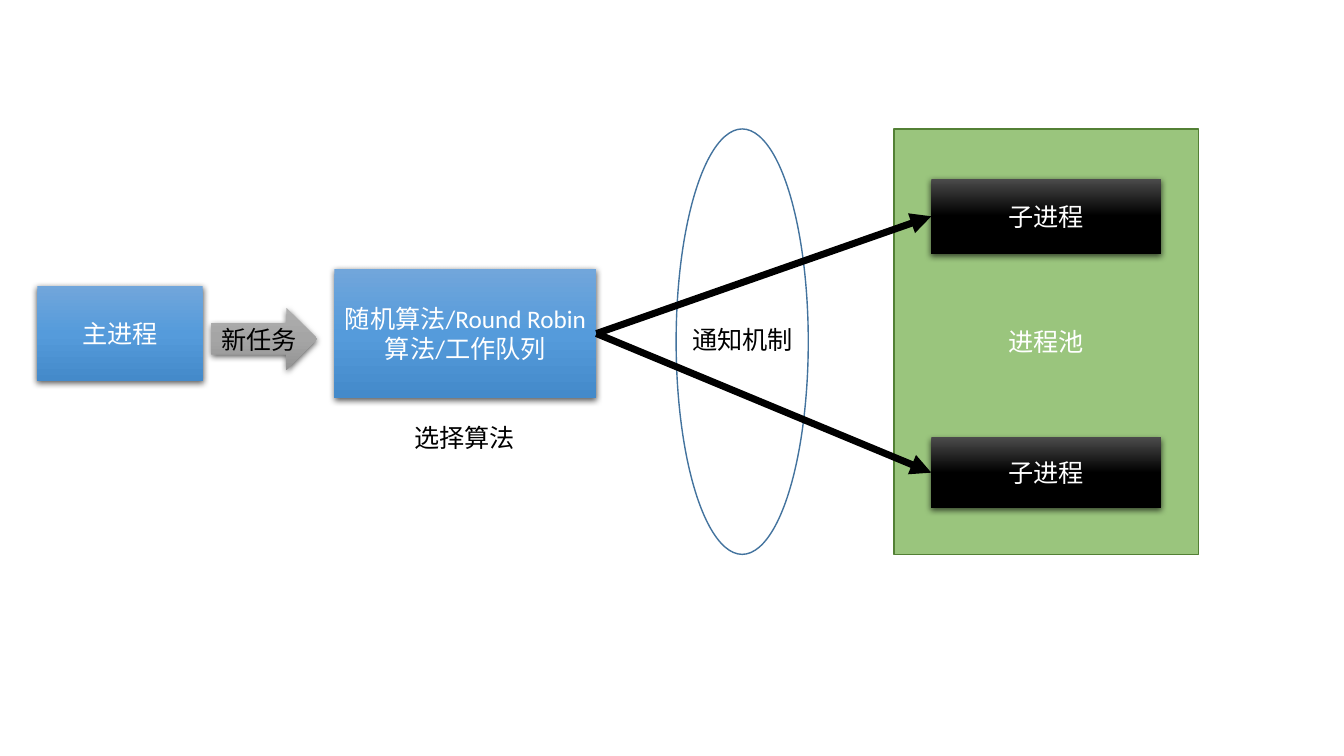
from copy import deepcopy

from lxml import etree
from pptx import Presentation
from pptx.dml.color import RGBColor
from pptx.enum.shapes import MSO_CONNECTOR, MSO_SHAPE
from pptx.enum.text import MSO_ANCHOR, MSO_AUTO_SIZE, PP_ALIGN
from pptx.oxml import parse_xml
from pptx.oxml.ns import nsdecls, qn
from pptx.util import Cm, Pt

RECTANGLE = MSO_SHAPE.RECTANGLE
RIGHT_ARROW = MSO_SHAPE.RIGHT_ARROW
OVAL = MSO_SHAPE.OVAL
STRAIGHT = MSO_CONNECTOR.STRAIGHT
MIDDLE = MSO_ANCHOR.MIDDLE
CENTER = PP_ALIGN.CENTER
FIT_TEXT = MSO_AUTO_SIZE.SHAPE_TO_FIT_TEXT

FONT = "Calibri"
WHITE = RGBColor(0xFF, 0xFF, 0xFF)
BLACK = RGBColor(0, 0, 0)
POOL_GREEN = RGBColor(0x70, 0xAD, 0x47)
POOL_BORDER = RGBColor(0x53, 0x80, 0x35)
OVAL_BORDER = RGBColor(0x43, 0x73, 0x9E)
BLUES = (RGBColor(0x71, 0xA6, 0xDB), RGBColor(0x55, 0x9B, 0xDB), RGBColor(0x44, 0x8A, 0xCA))
BLACKS = (RGBColor(0x4B, 0x4B, 0x4B), BLACK, BLACK)
GREYS = (RGBColor(0xAF, 0xAF, 0xAF), RGBColor(0xA5, 0xA5, 0xA5), RGBColor(0x93, 0x93, 0x93))

LEFT_SITE, RIGHT_SITE = 1, 3  # connection sites of a rectangle
BAND_TOP, BAND_HEIGHT = 3.25, 10.72  # shared by the pool and the oval
LABEL_HEIGHT = 1.02


def write(frame, text, color):
    frame.text = text
    font = frame.paragraphs[0].runs[0].font
    font.name = FONT
    font.size = Pt(18)
    font.color.rgb = color


def add_figure(slide, kind, box, text=""):
    """Add a shape without shadow; box is left, top, width, height in cm."""
    figure = slide.shapes.add_shape(kind, *map(Cm, box))
    figure.shadow.inherit = False
    if text:
        frame = figure.text_frame
        write(frame, text, WHITE)
        frame.word_wrap = True
        frame.vertical_anchor = MIDDLE
        frame.paragraphs[0].alignment = CENTER
    return figure


def outline(figure, color):
    figure.line.color.rgb = color
    figure.line.width = Pt(1)


def add_raised(slide, kind, box, colors, text=""):
    """Add a borderless shape with a downward gradient and a soft shadow."""
    figure = add_figure(slide, kind, box, text)
    figure.line.fill.background()
    figure.fill.gradient()
    figure.fill.gradient_angle = 270
    stop_list = figure._element.spPr.find(".//" + qn("a:gsLst"))
    stop_list.append(deepcopy(stop_list[-1]))
    for stop, color, position in zip(figure.fill.gradient_stops, colors, (0, 0.5, 1)):
        stop.color.rgb = color
        stop.position = position
    figure._element.spPr.find(qn("a:effectLst")).append(parse_xml(
        f'<a:outerShdw {nsdecls("a")} blurRad="{Pt(4.5)}" dist="{Pt(1.5)}" '
        'dir="5400000" algn="ctr" rotWithShape="0">'
        '<a:srgbClr val="000000"><a:alpha val="63000"/></a:srgbClr></a:outerShdw>'))
    return figure


def add_label(slide, left, top, width, text):
    label = slide.shapes.add_textbox(Cm(left), Cm(top), Cm(width), Cm(LABEL_HEIGHT))
    label.text_frame.word_wrap = False
    label.text_frame.auto_size = FIT_TEXT
    write(label.text_frame, text, BLACK)


def add_arrow(slide, source, target):
    arrow = slide.shapes.add_connector(STRAIGHT, 0, 0, 0, 0)
    arrow.begin_connect(source, RIGHT_SITE)
    arrow.end_connect(target, LEFT_SITE)
    arrow.line.color.rgb = BLACK
    arrow.line.width = Pt(5)
    etree.SubElement(arrow.line._get_or_add_ln(), qn("a:tailEnd"), type="triangle")
    etree.SubElement(arrow._element.spPr, qn("a:effectLst"))


def main():
    deck = Presentation()
    deck.slide_width, deck.slide_height = Cm(33.87), Cm(19.05)
    slide = deck.slides.add_slide(deck.slide_layouts[6])

    pool = add_figure(slide, RECTANGLE, (22.53, BAND_TOP, 7.67, BAND_HEIGHT), "进程池")
    pool.fill.solid()
    pool.fill.fore_color.rgb = POOL_GREEN
    pool_color = pool._element.spPr.find(qn("a:solidFill"))[0]
    etree.SubElement(pool_color, qn("a:alpha"), val="70000")
    outline(pool, POOL_BORDER)

    add_raised(slide, RECTANGLE, (0.94, 7.21, 4.17, 2.39), BLUES, "主进程")
    algorithm = add_raised(slide, RECTANGLE, (8.43, 6.78, 6.6, 3.25), BLUES,
                           "随机算法/Round Robin算法/工作队列")
    children = [add_raised(slide, RECTANGLE, (23.47, top, 5.79, height), BLACKS, "子进程")
                for top, height in ((4.5, 1.9), (11.02, 1.78))]

    add_raised(slide, RIGHT_ARROW, (5.33, 7.75, 2.67, 1.57), GREYS)
    add_label(slide, 5.33, 8.05, 2.44, "新任务")
    add_label(slide, 10.19, 10.52, 3.07, "选择算法")

    notification = add_figure(slide, OVAL, (17.04, BAND_TOP, 3.33, BAND_HEIGHT))
    notification.fill.background()
    outline(notification, OVAL_BORDER)
    for child in children:
        add_arrow(slide, algorithm, child)
    add_label(slide, 17.2, 8.05, 3.07, "通知机制")

    deck.save("out.pptx")


if __name__ == "__main__":
    main()
